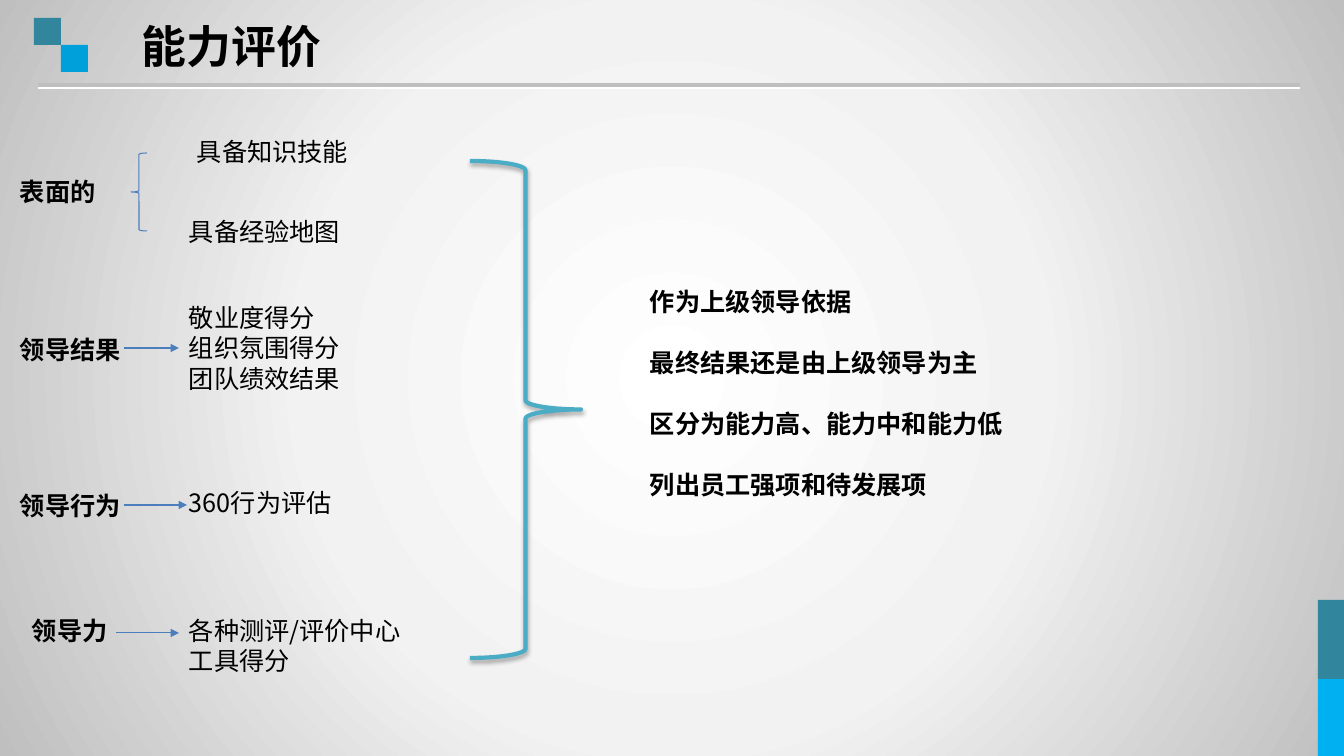
from dataclasses import dataclass
from lxml import etree
from pptx import Presentation
from pptx.dml.color import RGBColor as Rgb
from pptx.enum.shapes import MSO_CONNECTOR as Conn, MSO_SHAPE as Form
from pptx.oxml import parse_xml
from pptx.oxml.ns import qn
from pptx.util import Emu, Pt

NS = 'xmlns:a="http://schemas.openxmlformats.org/drawingml/2006/main"'


@dataclass(frozen=True)
class Theme:
    font: str = "Noto Sans CJK SC"
    title: int = 32
    body: int = 18
    lead: float = 1.21
    ink: str = "000000"
    white: str = "FFFFFF"
    pale: str = "F2F2F2"
    gray: str = "BFBFBF"
    teal: str = "31859C"
    sky: str = "00A1DA"
    cyan: str = "00B0F0"
    blue: str = "4B7EBC"
    aqua: str = "4BACC6"


LOOK = Theme()


def px(num):
    return Emu(round(num * 914400 / 100.8))


def add_form(slide, kind, box, fill=None, line=None, width=0.75):
    shape = slide.shapes.add_shape(kind, *map(px, box))
    shape.shadow.inherit = False
    if fill:
        shape.fill.solid()
        shape.fill.fore_color.rgb = Rgb.from_string(fill)
    else:
        shape.fill.background()
    if line:
        shape.line.color.rgb = Rgb.from_string(line)
        shape.line.width = Pt(width)
    else:
        shape.line.fill.background()
    return shape


def add_text(slide, box, lines, size=LOOK.body, bold=False, gap=0):
    label = slide.shapes.add_textbox(*map(px, box))
    frame = label.text_frame
    frame.word_wrap = True
    frame.text = "\n".join(lines)
    for num, para in enumerate(frame.paragraphs):
        para.line_spacing = Pt(round(size * LOOK.lead, 1))
        para.space_before = Pt(gap if num else 0)
        for run in para.runs:
            font = run.font
            font.name, font.size, font.bold = LOOK.font, Pt(size), bold
            font.color.rgb = Rgb.from_string(LOOK.ink)
            east = etree.SubElement(run._r.get_or_add_rPr(), qn("a:ea"))
            east.set("typeface", LOOK.font)
    return label


def add_line(slide, start, end, color, width):
    line = slide.shapes.add_connector(Conn.STRAIGHT, *map(px, start + end))
    line.line.color.rgb = Rgb.from_string(color)
    line.line.width = Pt(width)
    etree.SubElement(line._element.spPr, qn("a:effectLst"))
    return line


def add_arrow(slide, start, end):
    line = add_line(slide, start, end, LOOK.blue, 0.75)
    tail = etree.SubElement(line.line._get_or_add_ln(), qn("a:tailEnd"))
    tail.set("type", "triangle")
    return line


def add_shade(shape, color, alpha, blur, dist):
    props = shape._element.spPr
    props.find(qn("a:effectLst")).append(parse_xml(
        f'<a:outerShdw {NS} blurRad="{Pt(blur)}" dist="{Pt(dist)}" '
        f'dir="5400000" algn="t" rotWithShape="0"><a:srgbClr val="{color}">'
        f'<a:alpha val="{alpha * 1000}"/></a:srgbClr></a:outerShdw>'))


def draw_back(slide, box):
    left, top, wide, high = box
    base = add_form(slide, Form.RECTANGLE, box)
    stops = ((0, LOOK.white), (48, LOOK.pale), (100, LOOK.gray))
    marks = "".join(f'<a:gs pos="{pos * 1000}"><a:srgbClr val="{color}"/></a:gs>'
                    for pos, color in stops)
    props = base._element.spPr
    props.replace(props.find(qn("a:noFill")), parse_xml(
        f'<a:gradFill {NS} rotWithShape="1"><a:gsLst>{marks}</a:gsLst>'
        '<a:path path="circle"><a:fillToRect l="50000" t="50000" '
        'r="50000" b="50000"/></a:path></a:gradFill>'))
    for num, color in enumerate((LOOK.teal, LOOK.cyan)):
        add_form(slide, Form.RECTANGLE,
                 (left + wide - 26, top + 600 + 79 * num, 27, 79), color)


def draw_head(slide, box):
    left, top, wide, high = box
    base = top + high
    rule = add_line(slide, (left + 4, base), (left + wide, base), LOOK.gray, 2.25)
    add_shade(rule, LOOK.white, 100, 0, 2)
    for num, color in enumerate((LOOK.teal, LOOK.sky)):
        add_form(slide, Form.RECTANGLE,
                 (left + 27 * num, top + 27 * num, 27, 27), color)
    add_text(slide, (left + 98, top - 5, 532, 65), ["能力评价"], LOOK.title, True)


def draw_skills(slide, box):
    left, top, wide, high = box
    add_text(slide, (left + 177, top, 254, 41), ["具备知识技能"])
    add_text(slide, (left + 169, top + 80, 254, 41), ["具备经验地图"])
    add_form(slide, Form.LEFT_BRACE, (left + 121, top + 22, 16, 78), line=LOOK.blue)
    add_text(slide, (left, top + 40, 101, 41), ["表面的"], bold=True)


def draw_row(slide, box, name, lines, shift, start, end, join=False):
    left, top, wide, high = box
    goal = add_text(slide, (left + 169, top, wide - 169, high), lines)
    add_text(slide, (left + shift[0], top + shift[1], 122, 41), [name], bold=True)
    arrow = add_arrow(slide, (left + start[0], top + start[1]),
                      (left + end, top + start[1]))
    if join:
        arrow.end_connect(goal, 1)


def draw_result(slide, box):
    left, top, wide, high = box
    brace = add_form(slide, Form.RIGHT_BRACE, (left, top, 111, high),
                     line=LOOK.aqua, width=3)
    add_shade(brace, LOOK.ink, 35, 3.1, 1.8)
    add_text(slide, (left + 170, top + 120, wide - 170, 224),
             ["作为上级领导依据", "最终结果还是由上级领导为主",
              "区分为能力高、能力中和能力低", "列出员工强项和待发展项"],
             bold=True, gap=LOOK.body * LOOK.lead)


def main():
    deck = Presentation()
    deck.slide_width, deck.slide_height = px(1344), px(756)
    slide = deck.slides.add_slide(deck.slide_layouts[6])
    draw_back(slide, (0, 0, 1344, 756))
    draw_head(slide, (34, 18, 1266, 67))
    draw_skills(slide, (10, 131, 431, 121))
    draw_row(slide, (10, 297, 423, 102), "领导结果",
             ["敬业度得分", "组织氛围得分", "团队绩效结果"], (0, 32), (114, 51), 169, True)
    draw_row(slide, (10, 482, 423, 41), "领导行为", ["360行为评估"],
             (0, 3), (114, 23), 177)
    draw_row(slide, (10, 610, 423, 71), "领导力", ["各种测评/评价中心工具得分"],
             (12, 0), (106, 23), 169)
    draw_result(slide, (470, 161, 813, 497))
    deck.save("out.pptx")


if __name__ == "__main__":
    main()
